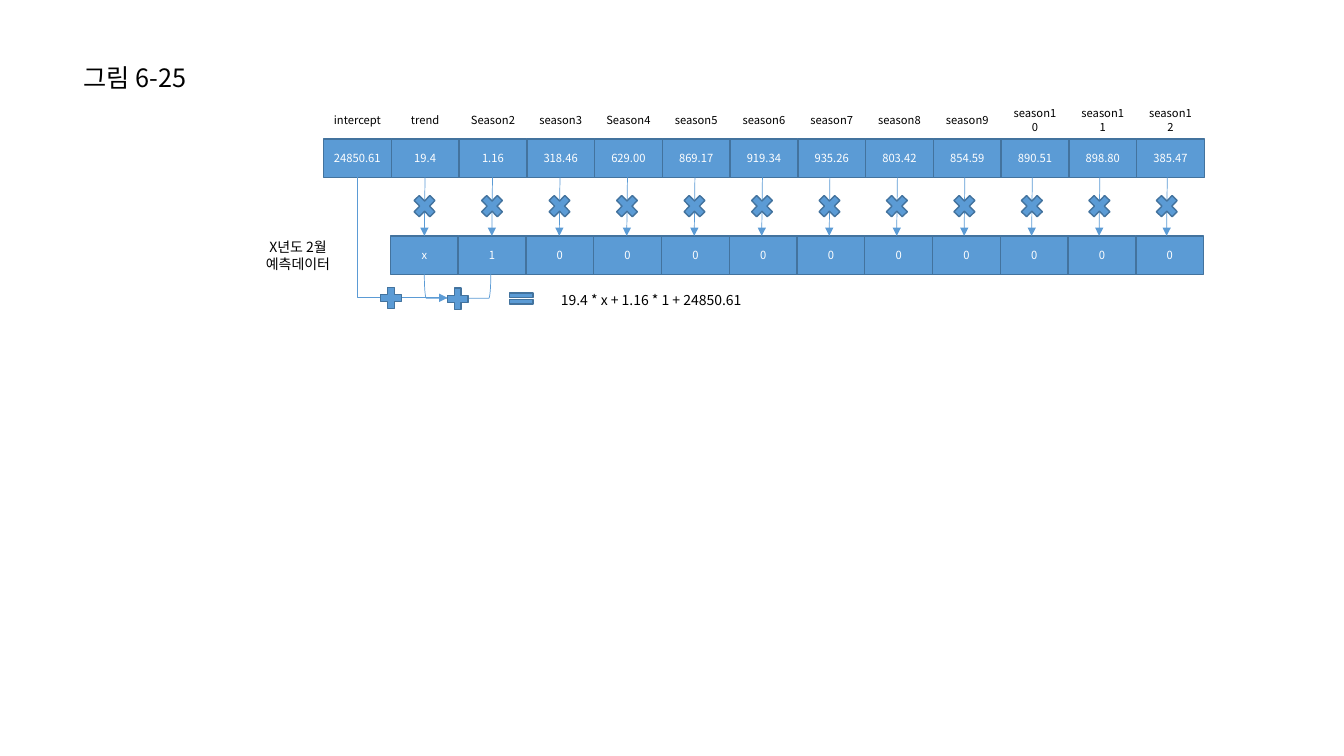
import pptx
import pptx.dml.color
import pptx.enum.shapes
import pptx.enum.text
import pptx.oxml.ns
import pptx.util
from lxml import etree

Pt = pptx.util.Pt
SHAPE = pptx.enum.shapes.MSO_SHAPE
CONNECTOR = pptx.enum.shapes.MSO_CONNECTOR
ALIGN = pptx.enum.text.PP_ALIGN
ANCHOR = pptx.enum.text.MSO_ANCHOR
qn = pptx.oxml.ns.qn

FONT = "Noto Sans CJK KR"
COLORS = {"fill": "5B9BD5", "edge": "43739E", "text": "000000", "cell_text": "FFFFFF"}
STEP = 48.4
CELL_HEIGHT = 27.4

COEFFICIENTS = [
    ("intercept", "24850.61"), ("trend", "19.4"), ("Season2", "1.16"),
    ("season3", "318.46"), ("Season4", "629.00"), ("season5", "869.17"),
    ("season6", "919.34"), ("season7", "935.26"), ("season8", "803.42"),
    ("season9", "854.59"), ("season10", "890.51"), ("season11", "898.80"),
    ("season12", "385.47"),
]
INPUTS = ["x", "1"] + ["0"] * 10


def rgb(name):
    """Return the named colour."""
    return pptx.dml.color.RGBColor.from_string(COLORS[name])


def write(frame, text, size=8, color="text", align=ALIGN.CENTER,
          anchor=ANCHOR.MIDDLE, wrap=True):
    """Fill a text frame, one paragraph for each line of text."""
    frame.word_wrap = wrap
    frame.vertical_anchor = anchor
    frame.text = text
    for paragraph in frame.paragraphs:
        paragraph.alignment = align
        for run in paragraph.runs:
            run.font.name = FONT
            run.font.size = Pt(size)
            run.font.color.rgb = rgb(color)
            east_asian = etree.SubElement(run.font._element, qn("a:ea"))
            east_asian.set("typeface", FONT)


def add_label(slide, box, text, **text_format):
    """Add plain text in a box of left, top, width, height."""
    label = slide.shapes.add_textbox(*map(Pt, box))
    write(label.text_frame, text, **text_format)
    return label


def add_block(slide, kind, box):
    """Add a filled and outlined preset shape."""
    block = slide.shapes.add_shape(kind, *map(Pt, box))
    block.shadow.inherit = False
    block.fill.solid()
    block.fill.fore_color.rgb = rgb("fill")
    block.line.color.rgb = rgb("edge")
    block.line.width = Pt(1)
    return block


def add_arrow(slide, kind, start, end):
    """Add a thin connector with a triangle at its end."""
    arrow = slide.shapes.add_connector(kind, *map(Pt, start + end))
    arrow.line.color.rgb = rgb("fill")
    arrow.line.width = Pt(0.5)
    etree.SubElement(arrow.line._get_or_add_ln(), qn("a:tailEnd")).set("type", "triangle")
    etree.SubElement(arrow._element.spPr, qn("a:effectLst"))
    return arrow


def add_cells(slide, left, top, values):
    """Add a row of adjoining value cells."""
    for column, value in enumerate(values):
        cell = add_block(slide, SHAPE.RECTANGLE,
                         (left + column * STEP, top, STEP, CELL_HEIGHT))
        write(cell.text_frame, value, color="cell_text")


def add_coefficients(slide, left, top):
    """Add the coefficient names above their values."""
    names, values = zip(*COEFFICIENTS)
    for column, name in enumerate(names):
        add_label(slide, (left + column * STEP, top, STEP, CELL_HEIGHT), name)
    add_cells(slide, left, top + CELL_HEIGHT, values)


def add_inputs(slide, left, top):
    """Add the row of forecast inputs with its caption at the left."""
    add_label(slide, (left, top, 75.6, CELL_HEIGHT), "X년도 2월\n예측데이터", size=10)
    add_cells(slide, left + 103.9, top, INPUTS)


def add_products(slide, left, top, height):
    """Add an arrow and a multiplication sign for each input."""
    for column in range(len(INPUTS)):
        center = left + column * 48.2
        add_arrow(slide, CONNECTOR.STRAIGHT, (center + 0.3, top), (center - 0.2, top + height))
        add_block(slide, SHAPE.MATH_MULTIPLY, (center - 10.8, top + 9.4, 21.6, 22.3))


def add_sum(slide, left, top):
    """Add the bracket, the plus signs and the resulting formula."""
    bracket = slide.shapes.add_shape(SHAPE.RIGHT_BRACKET, Pt(left + 62.6), Pt(top + 54),
                                     Pt(17.3), Pt(47.5))
    bracket.shadow.inherit = False
    bracket.fill.background()
    bracket.line.color.rgb = rgb("fill")
    bracket.line.width = Pt(0.5)
    bracket.rotation = 90
    bracket._element.spPr.xfrm.set("flipV", "1")

    # The elbow is laid out flat, then turned to run down and right.
    elbow = add_arrow(slide, CONNECTOR.ELBOW, (left + 74.9, top + 10.9),
                      (left - 11.1, top + 75.3))
    elbow._element.spPr.xfrm.set("rot", "16200000")
    elbow._element.spPr.find(qn("a:prstGeom")).set("prst", "bentConnector2")

    for plus_left, plus_top in ((13.7, 75.7), (61.2, 76.4)):
        add_block(slide, SHAPE.MATH_PLUS, (left + plus_left, top + plus_top, 20.2, 20.9))
    add_block(slide, SHAPE.MATH_EQUAL, (left + 105.1, top + 80, 23, 13))
    add_label(slide, (left + 130.3, top + 73.5, 158.4, CELL_HEIGHT),
              "19.4 * x + 1.16 * 1 + 24850.61", size=10)


def main():
    """Build the slide and save it."""
    deck = pptx.Presentation()
    deck.slide_width, deck.slide_height = Pt(960), Pt(540)
    slide = deck.slides.add_slide(deck.slide_layouts[6])
    add_label(slide, (52.6, 41, 95, 28.8), "그림 6-25", size=18,
              align=ALIGN.LEFT, anchor=ANCHOR.TOP, wrap=False)
    add_coefficients(slide, 231.1, 72)
    add_inputs(slide, 175, 168.5)
    add_products(slide, 303.3, 126.7, 41.8)
    add_sum(slide, 255.6, 126.7)
    deck.save("out.pptx")


main()
